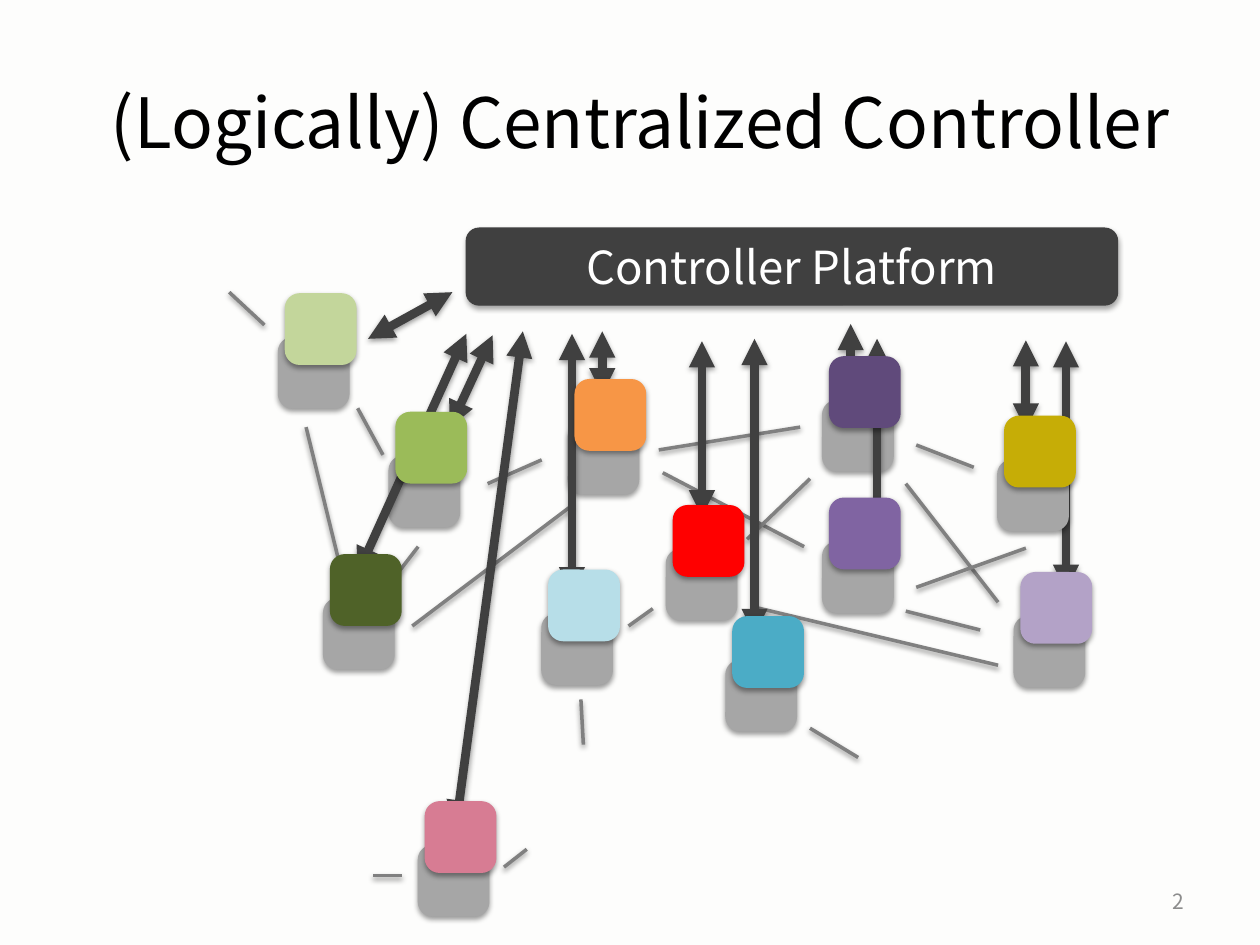
from dataclasses import dataclass

from lxml.etree import SubElement
from pptx import Presentation
from pptx.dml.color import RGBColor
from pptx.enum.shapes import MSO_CONNECTOR as Connector, MSO_SHAPE as Shape
from pptx.enum.text import MSO_ANCHOR as Anchor, PP_ALIGN as Align
from pptx.oxml.ns import qn
from pptx.util import Cm, Pt


@dataclass(frozen=True)
class Theme:
    font: str = "Noto Sans CJK JP"
    background: str = "FDFDFC"
    ink: str = "000000"
    light_ink: str = "FFFFFF"
    number_ink: str = "8C8C8C"
    link: str = "808080"
    switch: str = "A6A6A6"
    control: str = "404040"
    title_size: float = 39.6
    controller_size: float = 26
    number_size: float = 12
    link_width: float = 2
    control_width: float = 5
    controller_outline: float = 0.75


SWITCH_SIDE = 1.27
APP_SHIFT = (0.14, -0.88)

# Switch position in cm and the colour of the application above it
SWITCHES = [
    (5.69, 6.88, "C3D69B"), (6.6, 12.14, "4F6228"), (7.92, 9.27, "9BBB59"),
    (20.52, 12.5, "B3A2C7"), (16.66, 11, "8064A2"), (16.66, 8.15, "604A7B"),
    (11.53, 8.61, "F79646"), (11, 12.45, "B7DEE8"), (14.71, 13.39, "4BACC6"),
    (13.51, 11.15, "FF0000"), (8.51, 17.12, "D77C93"), (20.19, 9.35, "C6AD06"),
]

# Start x, y and end x, y in cm
LINKS = [
    (7.21, 8.23, 7.72, 9.17), (6.17, 8.61, 6.96, 11.84),
    (8.43, 11.02, 7.92, 11.68), (18.26, 12.32, 19.76, 12.7),
    (18.26, 9.75, 20.12, 12.14), (9.83, 9.75, 10.92, 9.27),
    (8.31, 12.62, 11.53, 10.19), (13.28, 9.07, 16.13, 8.61),
    (13.36, 9.53, 16.21, 11.02), (18.47, 8.97, 19.63, 9.42),
    (20.68, 11.05, 18.47, 11.84), (16.33, 14.68, 17.3, 15.27),
    (11.71, 14.1, 11.76, 15.01), (15.21, 12.24, 20.12, 13.41),
    (15.06, 10.87, 16.33, 9.65), (13.16, 12.27, 12.67, 12.62),
    (4.62, 5.89, 5.33, 6.55), (7.52, 17.65, 8.1, 17.65),
    (10.62, 17.12, 10.16, 17.48),
]
CONTROL_CHANNELS = [
    (9.12, 5.89, 7.42, 6.83), (9.4, 6.73, 7.21, 11.56),
    (9.93, 6.76, 9.07, 8.61), (11.53, 6.73, 11.53, 11.96),
    (12.14, 6.68, 12.14, 7.95), (17.15, 6.53, 17.15, 7.82),
    (14.15, 6.88, 14.15, 10.41), (15.21, 6.83, 15.21, 12.8),
    (17.68, 6.83, 17.68, 10.64), (21.49, 6.88, 21.49, 11.91),
    (20.68, 6.86, 20.68, 8.66), (10.54, 6.68, 9.19, 16.66),
]


def rgb(color):
    return RGBColor.from_string(color)


def write_text(shape, text, *, size, color, font, align=Align.CENTER):
    frame = shape.text_frame
    frame.word_wrap = True
    frame.vertical_anchor = Anchor.MIDDLE
    paragraph = frame.paragraphs[0]
    paragraph.alignment = align
    run = paragraph.add_run()
    run.text = text
    run.font.name = font
    run.font.size = Pt(size)
    run.font.color.rgb = rgb(color)


def add_shadow(shape, opacity=38):
    """Cast a soft shadow straight down; call after the line is set."""
    effects = SubElement(shape.element.spPr, qn("a:effectLst"))
    shadow = SubElement(
        effects, qn("a:outerShdw"), blurRad=str(Pt(3.1)), dist=str(Pt(1.6)),
        dir="5400000", rotWithShape="0")
    black = SubElement(shadow, qn("a:srgbClr"), val="000000")
    SubElement(black, qn("a:alpha"), val=str(opacity * 1000))


class Diagram:
    def __init__(self, slide, theme):
        self.slide = slide
        self.theme = theme
        background = slide.background.fill
        background.solid()
        background.fore_color.rgb = rgb(theme.background)

    def new_group(self):
        return self.slide.shapes.add_group_shape().shapes

    def label(self, text, left, top, width, height, **text_format):
        box = self.slide.shapes.add_textbox(
            Cm(left), Cm(top), Cm(width), Cm(height))
        write_text(box, text, font=self.theme.font, **text_format)

    def block(self, left, top, width, height, color, outline,
              opacity=38, shapes=None):
        block = (shapes or self.slide.shapes).add_shape(
            Shape.ROUNDED_RECTANGLE,
            Cm(left), Cm(top), Cm(width), Cm(height))
        block.fill.solid()
        block.fill.fore_color.rgb = rgb(color)
        block.line.color.rgb = rgb(color)
        block.line.width = Pt(outline)
        add_shadow(block, opacity)
        return block

    def square(self, left, top, color, shapes=None):
        self.block(left, top, SWITCH_SIDE, SWITCH_SIDE, color,
                   self.theme.control_width, shapes=shapes)

    def line(self, ends, color, width, arrows=False, shapes=None):
        line = (shapes or self.slide.shapes).add_connector(
            Connector.STRAIGHT, *map(Cm, ends))
        line.line.color.rgb = rgb(color)
        line.line.width = Pt(width)
        if arrows:
            for end in ("a:headEnd", "a:tailEnd"):
                SubElement(line.line._get_or_add_ln(), qn(end),
                           type="triangle")
        add_shadow(line)

    def controller(self, text, left, top, width, height):
        theme = self.theme
        platform = self.block(left, top, width, height, theme.control,
                              theme.controller_outline, opacity=35)
        write_text(platform, text, size=theme.controller_size,
                   color=theme.light_ink, font=theme.font)


def main():
    theme = Theme()
    deck = Presentation()
    deck.slide_width, deck.slide_height = Cm(25.4), Cm(19.05)
    diagram = Diagram(deck.slides.add_slide(deck.slide_layouts[6]), theme)

    for ends in LINKS:
        diagram.line(ends, theme.link, theme.link_width)

    # The last switch stands in front of the control channels
    *rear_switches, front_switch = SWITCHES
    for left, top, _ in rear_switches:
        diagram.square(left, top, theme.switch)
    channels = diagram.new_group()
    for ends in CONTROL_CHANNELS:
        diagram.line(ends, theme.control, theme.control_width,
                     arrows=True, shapes=channels)
    diagram.square(*front_switch[:2], theme.switch)

    diagram.label("(Logically) Centralized Controller",
                  0.99, 0.84, 23.83, 3.18,
                  size=theme.title_size, color=theme.ink)
    diagram.controller("Controller Platform", 9.4, 4.6, 13.13, 1.55)
    diagram.label("2", 18.21, 17.65, 5.92, 1.02, size=theme.number_size,
                  color=theme.number_ink, align=Align.RIGHT)

    applications = diagram.new_group()
    shift_x, shift_y = APP_SHIFT
    for left, top, color in SWITCHES:
        diagram.square(left + shift_x, top + shift_y, color, applications)

    deck.save("out.pptx")


if __name__ == "__main__":
    main()
